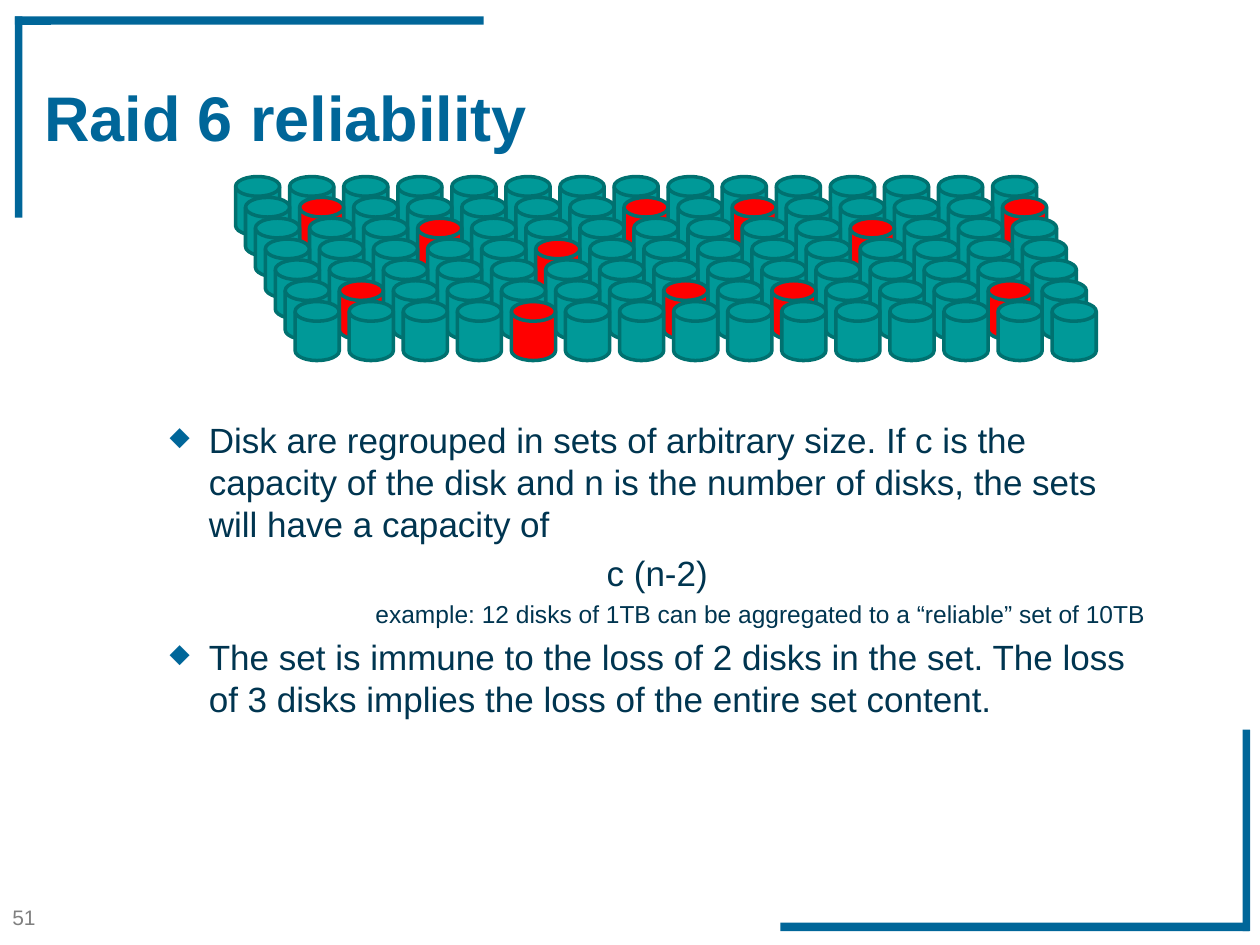
from typing import NamedTuple

from lxml.etree import SubElement
from pptx import Presentation
from pptx.dml.color import RGBColor
from pptx.enum.shapes import MSO_SHAPE
from pptx.enum.text import MSO_ANCHOR
from pptx.oxml.ns import qn
from pptx.util import Cm, Pt

COLORS = {
    "accent": "006699",
    "text": "003550",
    "number": "808080",
    "disk": "009998",
    "failed": "FF0000",
    "disk_line": "007170",
}
FONT = "Arial"

ROWS, COLS = 7, 15
DISK_LEFT, DISK_TOP = 4.75, 3.56
DISK_W, DISK_H = 0.89, 1.19
COL_STEP = 1.09
ROW_DX, ROW_DY = 0.2, 0.42
FAILED = {
    1: {1, 7, 9, 14},
    2: {3, 11},
    3: {5},
    5: {1, 7, 9, 13},
    6: {4},
}


class Box(NamedTuple):
    left: float
    top: float
    width: float
    height: float

    def lengths(self) -> list:
        return [Cm(v) for v in self]


class Para(NamedTuple):
    text: str
    size: int = 20
    color: str = "text"
    bold: bool = False
    margin: float = 0
    hanging: float = 0
    before: float = 0


FRAME_BARS = [
    Box(0.3, 0.33, 0.15, 4.06),
    Box(0.3, 0.33, 9.45, 0.17),
    Box(25.05, 14.71, 0.15, 4.06),
    Box(15.73, 18.6, 9.45, 0.17),
]

BODY = [
    Para("Disk are regrouped in sets of arbitrary size. If c is the capacity of "
         "the disk and n is the number of disks, the sets will have a capacity of",
         margin=2.06, hanging=0.79),
    Para("c (n-2)", margin=10.08, before=4),
    Para("example: 12 disks of 1TB can be aggregated to a “reliable” set of 10TB",
         size=14, margin=5.42, before=3),
    Para("The set is immune to the loss of 2 disks in the set. The loss of 3 disks "
         "implies the loss of the entire set content.",
         margin=2.06, hanging=0.79, before=4),
]


def rgb(name: str) -> RGBColor:
    return RGBColor.from_string(COLORS[name])


def add_filled(s, kind, box: Box, fill: str):
    sp = s.shapes.add_shape(kind, *box.lengths())
    sp.shadow.inherit = False
    sp.fill.solid()
    sp.fill.fore_color.rgb = rgb(fill)
    return sp


def add_bar(s, box: Box) -> None:
    sp = add_filled(s, MSO_SHAPE.ROUNDED_RECTANGLE, box, "accent")
    sp.adjustments[0] = 0.03
    sp.line.fill.background()


def add_disk(s, row: int, col: int) -> None:
    box = Box(DISK_LEFT + col * COL_STEP + row * ROW_DX,
              DISK_TOP + row * ROW_DY, DISK_W, DISK_H)
    fill = "failed" if col in FAILED.get(row, ()) else "disk"
    sp = add_filled(s, MSO_SHAPE.FLOWCHART_MAGNETIC_DISK, box, fill)
    sp.line.color.rgb = rgb("disk_line")
    sp.line.width = Pt(2)


def set_indent(p, para: Para) -> None:
    """Set the left margin, with a diamond bullet when the paragraph hangs."""
    pPr = p._p.get_or_add_pPr()
    pPr.set("marL", str(Cm(para.margin)))
    pPr.set("indent", str(Cm(-para.hanging)))
    if para.hanging:
        SubElement(SubElement(pPr, qn("a:buClr")), qn("a:srgbClr"),
                   val=COLORS["accent"])
        SubElement(pPr, qn("a:buSzPct"), val="75000")
        SubElement(pPr, qn("a:buChar"), char="◆")
    else:
        SubElement(pPr, qn("a:buNone"))


def add_text(s, box: Box, paras: list[Para], wrap: bool = True,
             anchor=MSO_ANCHOR.TOP) -> None:
    tf = s.shapes.add_textbox(*box.lengths()).text_frame
    tf.word_wrap = wrap
    tf.vertical_anchor = anchor
    for i, para in enumerate(paras):
        p = tf.add_paragraph() if i else tf.paragraphs[0]
        set_indent(p, para)
        p.space_before = Pt(para.before)
        r = p.add_run()
        r.text = para.text
        fmt = {"name": FONT, "size": Pt(para.size), "bold": para.bold}
        for name, value in fmt.items():
            setattr(r.font, name, value)
        r.font.color.rgb = rgb(para.color)


def main() -> None:
    prs = Presentation()
    prs.slide_width, prs.slide_height = Cm(25.4), Cm(19.05)
    s = prs.slides.add_slide(prs.slide_layouts[6])

    add_text(s, Box(0, 18.11, 1.04, 0.76), [Para("51", 12, "number")], wrap=False)
    for bar in FRAME_BARS:
        add_bar(s, bar)
    add_text(s, Box(0.64, 0.56, 24.76, 3.56),
             [Para("Raid 6 reliability", 36, "accent", bold=True)],
             anchor=MSO_ANCHOR.MIDDLE)
    add_text(s, Box(1.9, 8.31, 21.6, 8.76), BODY)
    for row in range(ROWS):
        for col in range(COLS):
            add_disk(s, row, col)

    prs.save("out.pptx")


if __name__ == "__main__":
    main()
